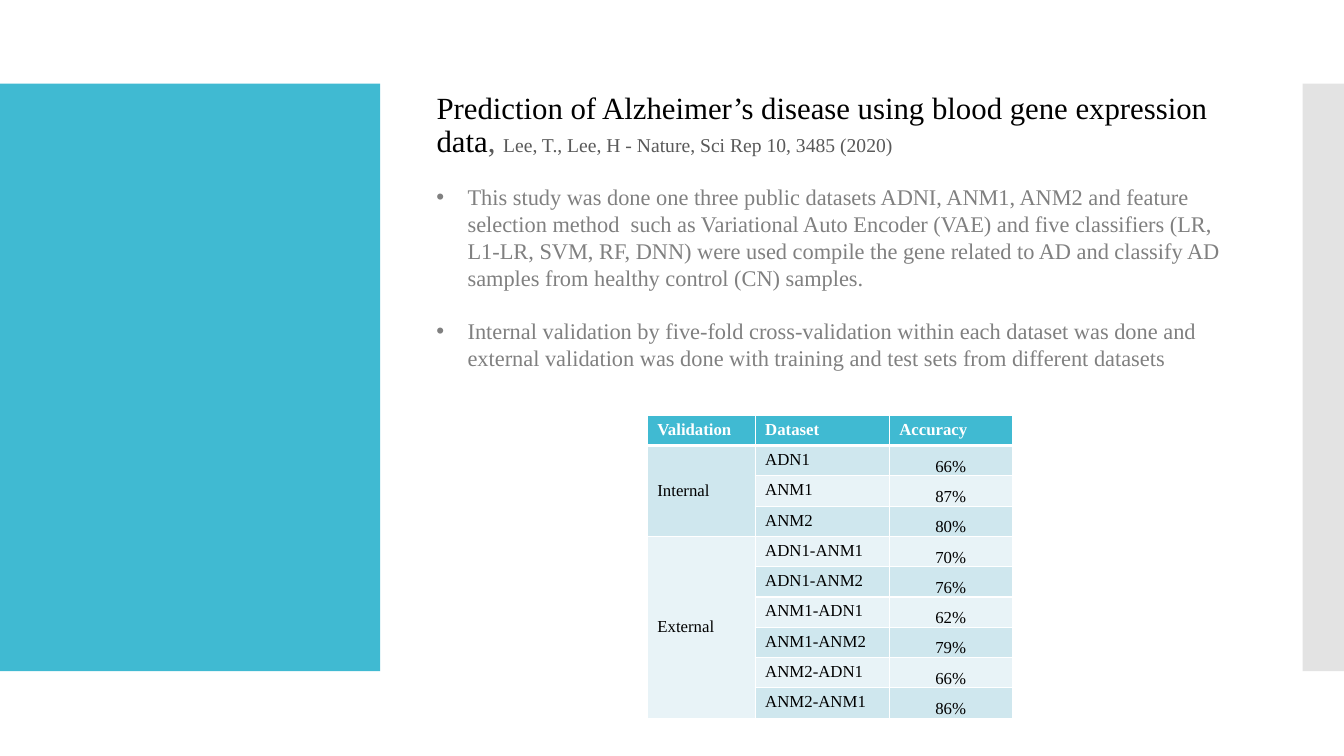
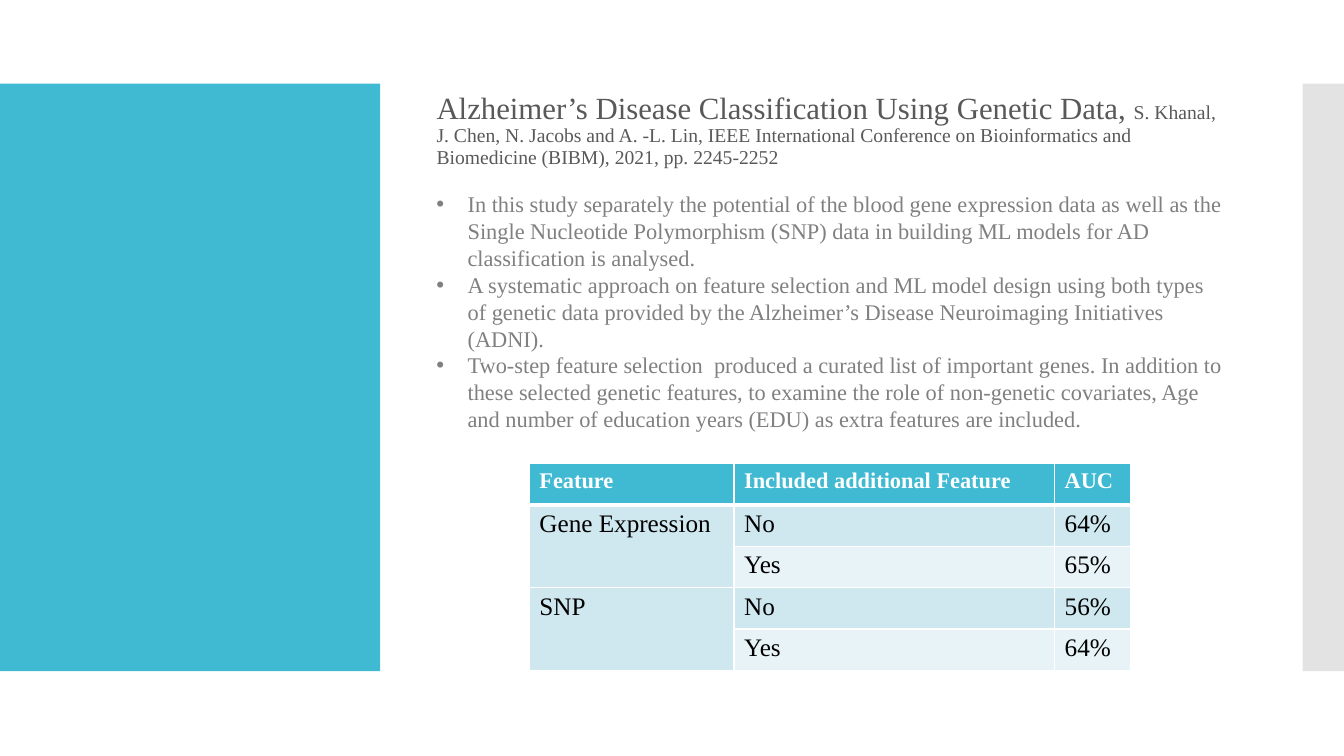
from lxml import etree
from pptx import Presentation
from pptx.dml.color import RGBColor
from pptx.enum.shapes import MSO_SHAPE as Shape
from pptx.enum.text import MSO_ANCHOR as Anchor, PP_ALIGN as Align
from pptx.oxml.ns import qn
from pptx.util import Inches, Pt

COLORS = {
    "teal": "40BAD2", "gray": "C8C8C8", "white": "FFFFFF", "black": "000000",
    "title": "595959", "body": "808080", "dark_row": "CFE7EE", "light_row": "E8F3F7",
}
FONT = "Times New Roman"
TEXT_LEFT, TEXT_WIDTH = Inches(4.23), Inches(8)

SLIDES = [
    {
        "title": [
            ("Prediction of Alzheimer’s disease using blood gene expression data", 22, "black"),
            (", ", 22, "title"),
            ("Lee, T., Lee, H - Nature, Sci Rep 10, 3485 (2020)", 14, "title"),
        ],
        "body_top": 1.77, "body_height": 1.99, "bullet_gap": 19,
        "bullets": [
            "This study was done one three public datasets ADNI, ANM1, ANM2 and feature selection method  such as Variational Auto Encoder (VAE) and five classifiers (LR, L1-LR, SVM, RF, DNN) were used compile the gene related to AD and classify AD samples from healthy control (CN) samples.",
            "Internal validation by five-fold cross-validation within each dataset was done and external validation was done with training and test sets from different datasets",
        ],
        "table_at": (6.42, 4.12), "columns": [1.07, 1.33, 1.22], "row_height": 0.26,
        "header": ["Validation", "Dataset", "Accuracy"], "header_size": 12, "cell_size": 12,
        "group_anchor": Anchor.MIDDLE, "tight_values": True,
        "groups": {
            "Internal": [("ADN1", "66%"), ("ANM1", "87%"), ("ANM2", "80%")],
            "External": [("ADN1-ANM1", "70%"), ("ADN1-ANM2", "76%"), ("ANM1-ADN1", "62%"),
                         ("ANM1-ANM2", "79%"), ("ANM2-ADN1", "66%"), ("ANM2-ANM1", "86%")],
        },
    },
    {
        "title": [
            ("Alzheimer’s Disease Classification Using Genetic Data, ", 22, "title"),
            ("S. Khanal, J. Chen, N. Jacobs and A. -L. Lin, IEEE International Conference on Bioinformatics and Biomedicine (BIBM), 2021, pp. 2245-2252", 14, "title"),
        ],
        "body_top": 1.84, "body_height": 2.6, "bullet_gap": 0,
        "bullets": [
            "In this study separately the potential of the blood gene expression data as well as the Single Nucleotide Polymorphism (SNP) data in building ML models for AD classification is analysed.",
            "A systematic approach on feature selection and ML model design using both types of genetic data provided by the Alzheimer’s Disease Neuroimaging Initiatives (ADNI).",
            "Two-step feature selection  produced a curated list of important genes. In addition to these selected genetic features, to examine the role of non-genetic covariates, Age and number of education years (EDU) as extra features are included.",
        ],
        "table_at": (5.25, 4.6), "columns": [2.03, 3.18, 0.75], "row_height": 0.41,
        "header": ["Feature", "Included additional Feature", "AUC"], "header_size": 16, "cell_size": 18,
        "group_anchor": Anchor.TOP, "tight_values": False,
        "groups": {
            "Gene Expression": [("No", "64%"), ("Yes", "65%")],
            "SNP": [("No", "56%"), ("Yes", "64%")],
        },
    },
]


def add_run(paragraph, text, size, color, bold=False):
    run = paragraph.add_run()
    run.text = text
    for name, value in {"name": FONT, "size": Pt(size), "bold": bold}.items():
        setattr(run.font, name, value)
    run.font.color.rgb = RGBColor.from_string(COLORS[color])


def style_cell(cell, fill, header=False):
    properties = cell._tc.get_or_add_tcPr()
    for side in ("lnL", "lnR", "lnT", "lnB"):
        width = Pt(3 if header and side == "lnB" else 1)
        line = etree.SubElement(properties, qn(f"a:{side}"), w=str(width))
        solid = etree.SubElement(line, qn("a:solidFill"))
        etree.SubElement(solid, qn("a:srgbClr"), val=COLORS["white"])
    cell.fill.solid()
    cell.fill.fore_color.rgb = RGBColor.from_string(COLORS[fill])


presentation = Presentation()
presentation.slide_width, presentation.slide_height = Inches(13.33), Inches(7.5)
layout = presentation.slide_layouts.get_by_name("Title Only")

for content in SLIDES:
    slide = presentation.slides.add_slide(layout)

    # Side bands
    for left, width, color, alpha in ((0, 3.77, "teal", 100), (12.92, 0.41, "gray", 50)):
        band = slide.shapes.add_shape(
            Shape.RECTANGLE, Inches(left), Inches(0.83), Inches(width), Inches(5.83))
        band.shadow.inherit = False
        band.line.fill.background()
        band.fill.solid()
        band.fill.fore_color.rgb = RGBColor.from_string(COLORS[color])
        if alpha < 100:
            tint = band._element.spPr.find(f"{qn('a:solidFill')}/{qn('a:srgbClr')}")
            etree.SubElement(tint, qn("a:alpha"), val=str(alpha * 1000))

    # Title with citation
    title = slide.shapes.title
    box = {"left": TEXT_LEFT, "top": Inches(0.87), "width": TEXT_WIDTH, "height": Inches(1)}
    for name, value in box.items():
        setattr(title, name, value)
    title.text_frame.vertical_anchor = Anchor.TOP
    title.text_frame.word_wrap = True
    paragraph = title.text_frame.paragraphs[0]
    paragraph.alignment = Align.LEFT
    paragraph.line_spacing = 0.9
    for text, size, color in content["title"]:
        add_run(paragraph, text, size, color)

    # Bullets
    body = slide.shapes.add_textbox(
        TEXT_LEFT, Inches(content["body_top"]), TEXT_WIDTH, Inches(content["body_height"]))
    body.text_frame.word_wrap = True
    for index, text in enumerate(content["bullets"]):
        paragraph = body.text_frame.paragraphs[0] if index == 0 else body.text_frame.add_paragraph()
        properties = paragraph._p.get_or_add_pPr()
        properties.set("marL", str(Inches(0.31)))
        properties.set("indent", str(-Inches(0.31)))
        etree.SubElement(properties, qn("a:buFont"), typeface="Arial")
        etree.SubElement(properties, qn("a:buChar"), char="•")
        if index:
            paragraph.space_before = Pt(content["bullet_gap"])
        add_run(paragraph, text, 16, "body")

    # Results table
    row_count = 1 + sum(len(rows) for rows in content["groups"].values())
    left, top = content["table_at"]
    table = slide.shapes.add_table(
        row_count, len(content["columns"]), Inches(left), Inches(top),
        Inches(sum(content["columns"])), Inches(content["row_height"] * row_count)).table
    for column, width in zip(table.columns, content["columns"]):
        column.width = Inches(width)
    for row in table.rows:
        row.height = Inches(content["row_height"])

    for column, text in enumerate(content["header"]):
        cell = table.cell(0, column)
        style_cell(cell, "teal", header=True)
        add_run(cell.text_frame.paragraphs[0], text, content["header_size"], "white", bold=True)

    row = 1
    for group, results in content["groups"].items():
        first_row = row
        for result in results:
            fill = "dark_row" if row % 2 else "light_row"
            for column, text in enumerate((group if row == first_row else "", *result)):
                cell = table.cell(row, column)
                style_cell(cell, fill)
                paragraph = cell.text_frame.paragraphs[0]
                if text:
                    add_run(paragraph, text, content["cell_size"], "black")
                if column == 2 and content["tight_values"]:
                    cell.vertical_anchor = Anchor.BOTTOM
                    paragraph.alignment = Align.CENTER
                    cell.margin_left = cell.margin_right = cell.margin_top = Inches(0.01)
                    cell.margin_bottom = 0
            row += 1
        group_cell = table.cell(first_row, 0)
        group_cell.merge(table.cell(row - 1, 0))
        group_cell.vertical_anchor = content["group_anchor"]

presentation.save("out.pptx")
